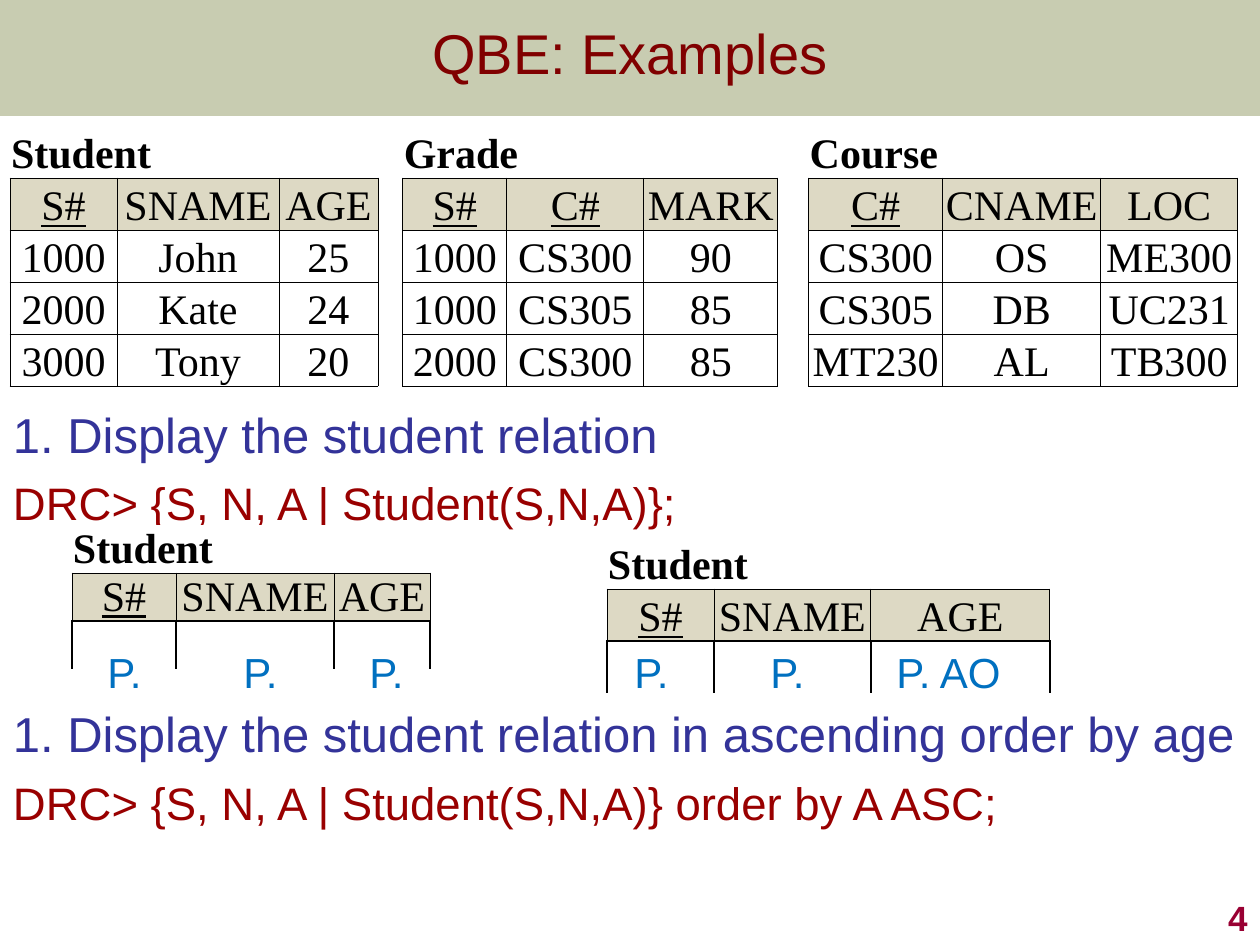
from dataclasses import dataclass, field
from typing import Any

from lxml import etree
from pptx import Presentation
from pptx.dml import color
from pptx.enum import shapes, text
from pptx.oxml import ns
from pptx.util import Emu, Pt

EMU_PER_PX = 914400 / 126

BAND = color.RGBColor(0x67, 0x72, 0x28)
MAROON = color.RGBColor(0x80, 0x00, 0x00)
INDIGO = color.RGBColor(0x33, 0x33, 0x99)
RED = color.RGBColor(0x99, 0x00, 0x00)
CRIMSON = color.RGBColor(0x99, 0x00, 0x33)
BLUE = color.RGBColor(0x00, 0x70, 0xC0)
BLACK = color.RGBColor(0x00, 0x00, 0x00)
WHITE = color.RGBColor(0xFF, 0xFF, 0xFF)
TAN = color.RGBColor(0xDD, 0xD9, 0xC4)

THIN, HEAVY = Pt(0.5), Pt(1)
SIDES = ("L", "R", "T", "B")
BOXED = dict.fromkeys(SIDES, THIN)
CAPTION_LINES = {"B": THIN}
GAP_LINES = {"L": THIN, "R": THIN}
OPEN_LINES = {"L": HEAVY, "T": HEAVY, "R": HEAVY}


@dataclass(frozen=True)
class Style:
    size: int
    ink: color.RGBColor
    name: str = "Arial"
    bold: bool = False
    underline: bool = False
    alignment: Any = text.PP_ALIGN.LEFT


@dataclass(frozen=True)
class Column:
    name: str
    width: int
    values: tuple[str, ...] = ("",)
    key: bool = False


@dataclass(frozen=True)
class Relation:
    name: str
    columns: list[Column]
    gap_after: int = 0


@dataclass(frozen=True)
class Query:
    left: int
    top: int
    row_height: int
    widths: tuple[int, int, int]
    entries: tuple[str, str, str]
    entry_left: int


@dataclass(frozen=True)
class Block:
    lines: list[tuple[str, Style]]
    box: tuple[int, int, int, int]
    frame: dict[str, Any] = field(default_factory=dict)


TITLE = Style(32, MAROON, alignment=text.PP_ALIGN.CENTER)
TASK = Style(28, INDIGO)
FORMULA = Style(26, RED)
NUMBER = Style(20, CRIMSON, bold=True, alignment=text.PP_ALIGN.RIGHT)
ENTRY = Style(24, BLUE)
CAPTION = Style(24, BLACK, "Times New Roman", bold=True)
CELL = Style(24, BLACK, "Times New Roman", alignment=text.PP_ALIGN.CENTER)
KEY = Style(24, BLACK, "Times New Roman", underline=True, alignment=text.PP_ALIGN.CENTER)


def px(length: int) -> Emu:
    return Emu(round(length * EMU_PER_PX))


def set_format(target: Any, values: dict[str, Any]) -> None:
    for name, value in values.items():
        setattr(target, name, value)


def write(paragraph: Any, words: str, style: Style) -> None:
    paragraph.alignment = style.alignment
    run = paragraph.add_run()
    run.text = words
    set_format(run.font, {"size": Pt(style.size), "name": style.name,
                          "bold": style.bold, "underline": style.underline})
    run.font.color.rgb = style.ink


def fill_block(shape: Any, block: Block) -> None:
    set_format(shape, dict(zip(("left", "top", "width", "height"), map(px, block.box))))
    frame = shape.text_frame
    set_format(frame, {"word_wrap": True, "auto_size": text.MSO_AUTO_SIZE.NONE} | block.frame)
    for index, (words, style) in enumerate(block.lines):
        paragraph = frame.add_paragraph() if index else frame.paragraphs[0]
        properties = paragraph._p.get_or_add_pPr()
        properties.set("marL", "0")
        properties.set("indent", "0")
        etree.SubElement(properties, ns.qn("a:buNone"))
        paragraph.space_before = Pt(7 if index else 0)
        write(paragraph, words, style)


def add_block(slide: Any, block: Block) -> None:
    fill_block(slide.shapes.add_textbox(0, 0, 0, 0), block)


def add_band(slide: Any) -> None:
    band = slide.shapes.add_shape(shapes.MSO_SHAPE.RECTANGLE, 0, 0, px(1260), px(116))
    band.shadow.inherit = False
    band.fill.solid()
    band.fill.fore_color.rgb = BAND
    band.line.fill.background()
    ink = next(band.element.iter(ns.qn("a:srgbClr")))
    etree.SubElement(ink, ns.qn("a:alpha"), val="36000")
    band.element.getparent().insert(2, band.element)


def format_cell(cell: Any, fill: color.RGBColor, lines: dict[str, int]) -> None:
    set_format(cell, {"margin_left": px(1), "margin_right": px(1), "margin_top": px(1),
                      "margin_bottom": 0, "vertical_anchor": text.MSO_ANCHOR.BOTTOM})
    cell.fill.solid()
    cell.fill.fore_color.rgb = fill
    properties = cell._tc.get_or_add_tcPr()
    for index, side in enumerate(SIDES):
        line = etree.Element(ns.qn(f"a:ln{side}"), w=str(lines.get(side, 0)))
        if side in lines:
            solid = etree.SubElement(line, ns.qn("a:solidFill"))
            etree.SubElement(solid, ns.qn("a:srgbClr"), val=str(BLACK))
        else:
            etree.SubElement(line, ns.qn("a:noFill"))
        properties.insert(index, line)


def add_relations(slide: Any, left: int, top: int, row_height: int,
                  relations: list[Relation], body_lines: dict[str, int]) -> None:
    widths = []
    for relation in relations:
        widths += [column.width for column in relation.columns]
        widths += [relation.gap_after] if relation.gap_after else []
    row_count = 2 + len(relations[0].columns[0].values)
    table = slide.shapes.add_table(row_count, len(widths), px(left), px(top),
                                   px(sum(widths)), px(row_height * row_count)).table
    set_format(table, {"first_row": False, "horz_banding": False})
    for column, width in zip(table.columns, widths):
        column.width = px(width)
    for row in table.rows:
        row.height = px(row_height)

    start = 0
    for relation in relations:
        end = start + len(relation.columns)
        for index, column in enumerate(relation.columns, start):
            format_cell(table.cell(0, index), WHITE, CAPTION_LINES)
            header = table.cell(1, index)
            format_cell(header, TAN, BOXED)
            write(header.text_frame.paragraphs[0], column.name, KEY if column.key else CELL)
            for row, value in enumerate(column.values, 2):
                cell = table.cell(row, index)
                format_cell(cell, WHITE, body_lines)
                if value:
                    write(cell.text_frame.paragraphs[0], value, CELL)
        table.cell(0, start).merge(table.cell(0, end - 1))
        write(table.cell(0, start).text_frame.paragraphs[0], relation.name, CAPTION)
        if relation.gap_after:
            for row in range(row_count):
                format_cell(table.cell(row, end), WHITE, GAP_LINES if row else {})
            end += 1
        start = end


def add_query(slide: Any, query: Query) -> None:
    names = ("S#", "SNAME", "AGE")
    columns = [Column(name, width, key=name == "S#") for name, width in zip(names, query.widths)]
    add_relations(slide, query.left, query.top, query.row_height,
                  [Relation("Student", columns)], OPEN_LINES)
    for words, offset in zip(query.entries, (0, 136, 262)):
        width = 60 if words == "P." else 131
        add_block(slide, Block([(words, ENTRY)], (query.entry_left + offset, 640, width, 63),
                               {"word_wrap": False}))


RELATIONS = [
    Relation("Student", [Column("S#", 107, ("1000", "2000", "3000"), True),
                         Column("SNAME", 162, ("John", "Kate", "Tony")),
                         Column("AGE", 99, ("25", "24", "20"))], 25),
    Relation("Grade", [Column("S#", 104, ("1000", "1000", "2000"), True),
                       Column("C#", 137, ("CS300", "CS305", "CS300"), True),
                       Column("MARK", 134, ("90", "85", "85"))], 31),
    Relation("Course", [Column("C#", 134, ("CS300", "CS305", "MT230"), True),
                        Column("CNAME", 158, ("OS", "DB", "AL")),
                        Column("LOC", 137, ("ME300", "UC231", "TB300"))]),
]
QUERIES = [
    Query(72, 525, 48, (104, 158, 96), ("P.", "P.", "P."), 95),
    Query(607, 537, 52, (107, 157, 179), ("P.", "P.", "P. AO"), 622),
]
TASK_FRAME = {"margin_left": px(13), "margin_right": 0, "margin_top": px(11),
              "vertical_anchor": text.MSO_ANCHOR.TOP}
HEADING = Block([("QBE: Examples", TITLE)], (0, 0, 1260, 105),
                {"vertical_anchor": text.MSO_ANCHOR.MIDDLE})
DISPLAY = Block([("1. Display the student relation", TASK),
                 ("DRC> {S, N, A | Student(S,N,A)};", FORMULA)], (0, 393, 1215, 154), TASK_FRAME)
SORTED = Block([("1. Display the student relation in ascending order by age", TASK),
                ("DRC> {S, N, A | Student(S,N,A)} order by A ASC;", FORMULA)],
               (0, 693, 1257, 154), TASK_FRAME)
PAGE = Block([("4", NUMBER)], (998, 882, 262, 63), {"vertical_anchor": text.MSO_ANCHOR.BOTTOM})


def main() -> None:
    presentation = Presentation()
    set_format(presentation, {"slide_width": px(1260), "slide_height": px(945)})
    slide = presentation.slides.add_slide(presentation.slide_layouts[1])
    add_band(slide)
    fill_block(slide.shapes.title, HEADING)
    fill_block(slide.placeholders[1], DISPLAY)
    add_block(slide, PAGE)
    add_relations(slide, 10, 126, 52, RELATIONS, BOXED)
    add_block(slide, SORTED)
    for query in QUERIES:
        add_query(slide, query)
    presentation.save("out.pptx")


if __name__ == "__main__":
    main()
